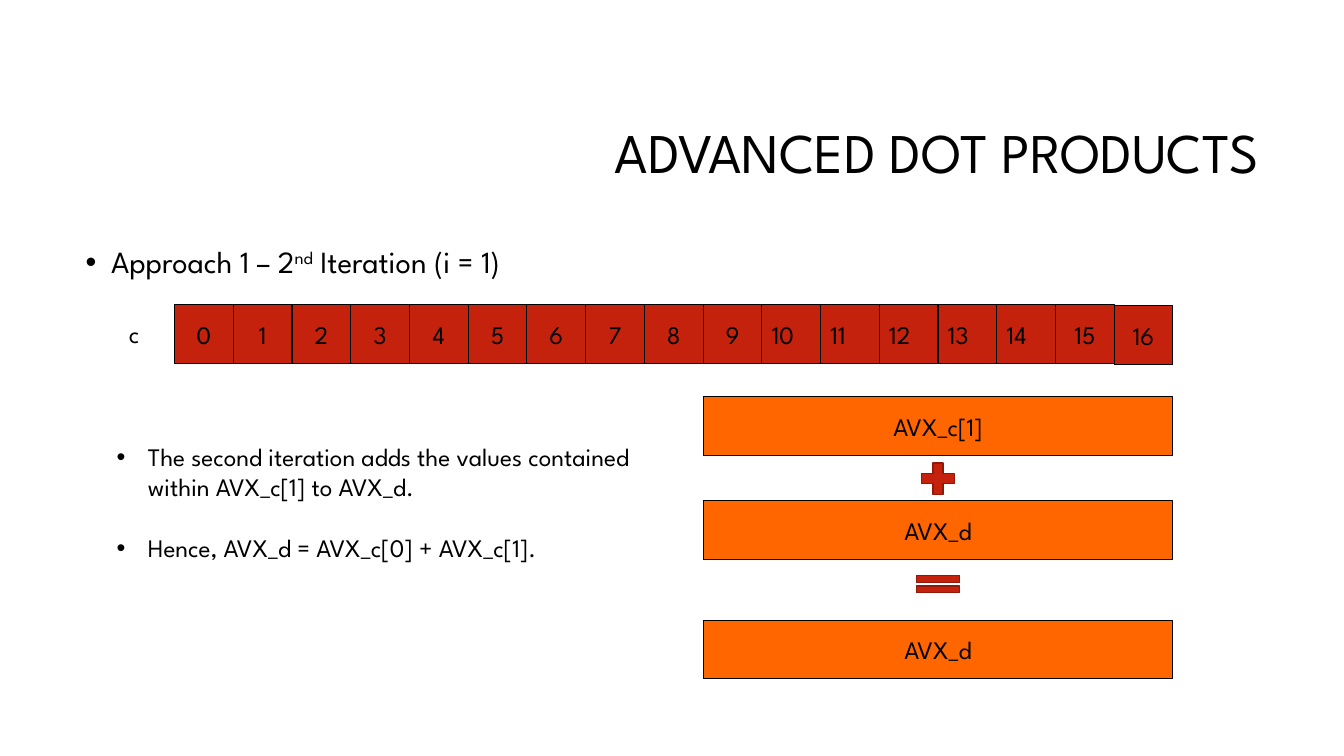
from lxml import etree
from pptx import Presentation
from pptx.dml.color import RGBColor
from pptx.enum.shapes import MSO_SHAPE
from pptx.enum.text import MSO_ANCHOR, PP_ALIGN
from pptx.oxml.ns import qn
from pptx.util import Cm, Pt

RECT = MSO_SHAPE.RECTANGLE
PLUS = MSO_SHAPE.MATH_PLUS
EQUAL = MSO_SHAPE.MATH_EQUAL
LEFT, CENTER, RIGHT = PP_ALIGN.LEFT, PP_ALIGN.CENTER, PP_ALIGN.RIGHT
TOP, MIDDLE = MSO_ANCHOR.TOP, MSO_ANCHOR.MIDDLE

FONT = "League Spartan"
BLACK, RED, DARK, ORANGE = "000000", "C4220D", "91190A", "FF6600"


def color(code):
    return RGBColor.from_string(code)


def write(frame, text, size=18, align=LEFT, anchor=TOP, wrap=True,
          space=None, gap=0, indent=None):
    frame.word_wrap = wrap
    frame.vertical_anchor = anchor
    for i, line in enumerate(text.split("\n")):
        para = frame.add_paragraph() if i else frame.paragraphs[0]
        para.alignment = align
        if space:
            para.line_spacing = space
        if i:
            para.space_before = Pt(gap)
        if indent:
            props = para._p.get_or_add_pPr()
            props.set("marL", str(Cm(indent)))
            props.set("indent", str(-Cm(indent)))
            etree.SubElement(props, qn("a:buFont")).set("typeface", "Arial")
            etree.SubElement(props, qn("a:buChar")).set("char", "•")
        for j, part in enumerate(line.split("^")):
            run = para.add_run()
            run.text = part
            run.font.name = FONT
            run.font.size = Pt(size)
            run.font.color.rgb = color(BLACK)
            if j % 2:
                run.font._element.set("baseline", "30000")


class Deck:
    def __init__(self, wide, high):
        self.show = Presentation()
        self.show.slide_width = Cm(wide)
        self.show.slide_height = Cm(high)
        self.slide = self.show.slides.add_slide(self.show.slide_layouts[6])

    def label(self, text, x, y, w, h, **style):
        box = self.slide.shapes.add_textbox(Cm(x), Cm(y), Cm(w), Cm(h))
        write(box.text_frame, text, **style)

    def shape(self, kind, x, y, w, h, fill, line=BLACK, width=0.75):
        item = self.slide.shapes.add_shape(kind, Cm(x), Cm(y), Cm(w), Cm(h))
        item.shadow.inherit = False
        item.fill.solid()
        item.fill.fore_color.rgb = color(fill)
        item.line.color.rgb = color(line)
        item.line.width = Pt(width)
        return item

    def block(self, text, x, y, w, h, fill, align=CENTER):
        item = self.shape(RECT, x, y, w, h, fill)
        write(item.text_frame, text, align=align, anchor=MIDDLE, wrap=False)

    def sign(self, kind, x, y, w, h):
        self.shape(kind, x, y, w, h, RED, DARK, 1)


def main():
    deck = Deck(33.87, 19.05)
    deck.label("ADVANCED DOT PRODUCTS", 8.05, 2.13, 23.93, 3.58,
               size=40, align=RIGHT, anchor=MIDDLE, space=0.9)
    deck.label("Approach 1 – 2^nd^ Iteration (i = 1)", 1.91, 6.1, 18.77, 11.18,
               size=22, space=0.9, indent=0.64)

    left, top, side, count = 4.4, 7.68, 1.48, 17
    for i in range(count):
        drop = 0.03 if i == count - 1 else 0
        align = LEFT if 10 <= i <= 14 else CENTER
        deck.block(str(i), left + i * side, top + drop, side, side, RED, align)
    deck.label("c", 3, 7.9, 1.35, 1.02)

    start, span = left + 9 * side, 8 * side
    for text, y in (("AVX_c[1]", 10), ("AVX_d", 12.62), ("AVX_d", 15.63)):
        deck.block(text, start, y, span, side, ORANGE)

    mid = start + span / 2
    for kind, y, w, h in ((PLUS, 11.53, 1.12, 1.07), (EQUAL, 14.35, 1.48, 0.74)):
        deck.sign(kind, mid - w / 2, y, w, h)

    deck.label("The second iteration adds the values contained within AVX_c[1] to AVX_d.\n"
               "Hence, AVX_d = AVX_c[0] + AVX_c[1].",
               2.69, 11, 13.56, 3.33, gap=21.6, indent=0.79)
    deck.show.save("out.pptx")


if __name__ == "__main__":
    main()
